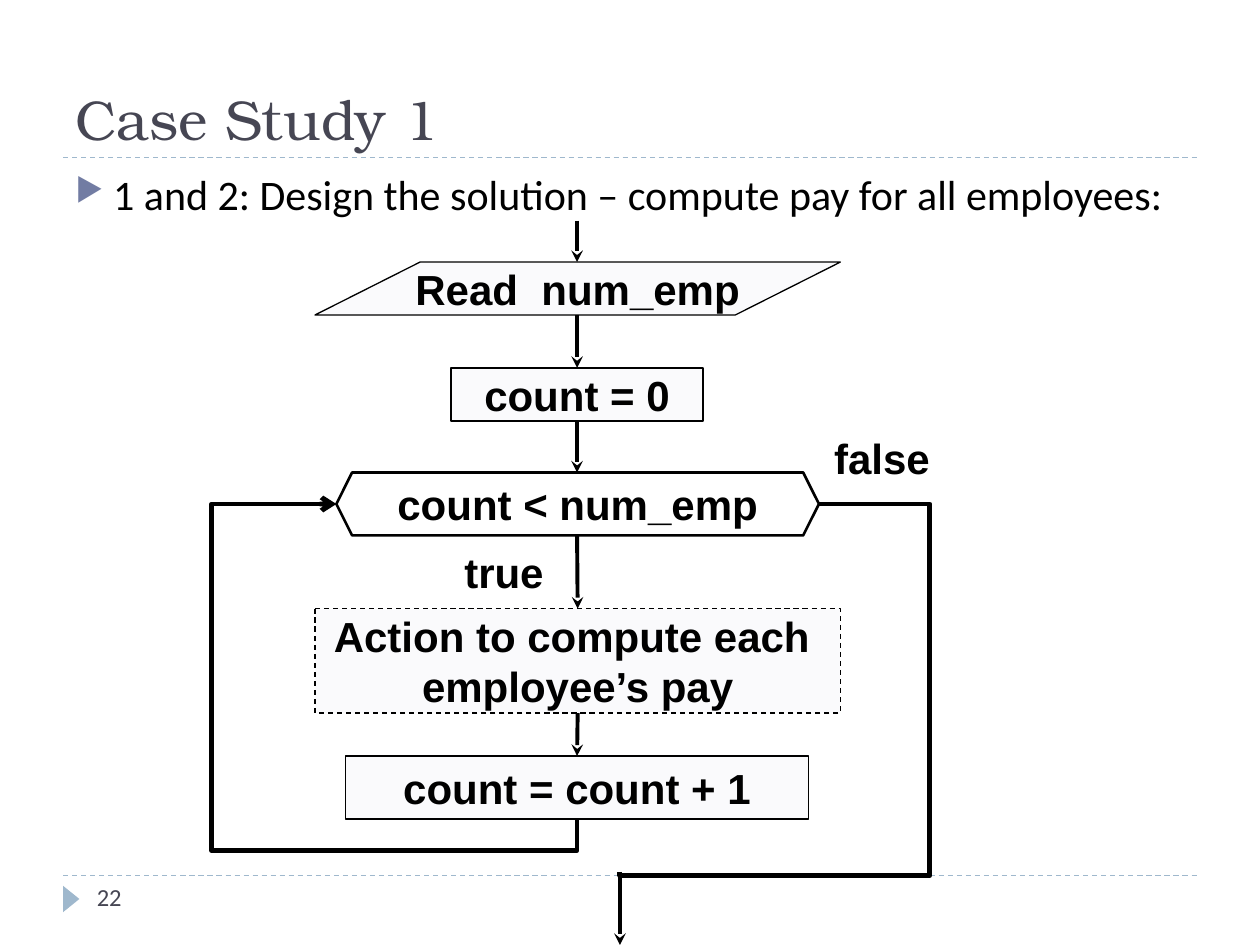
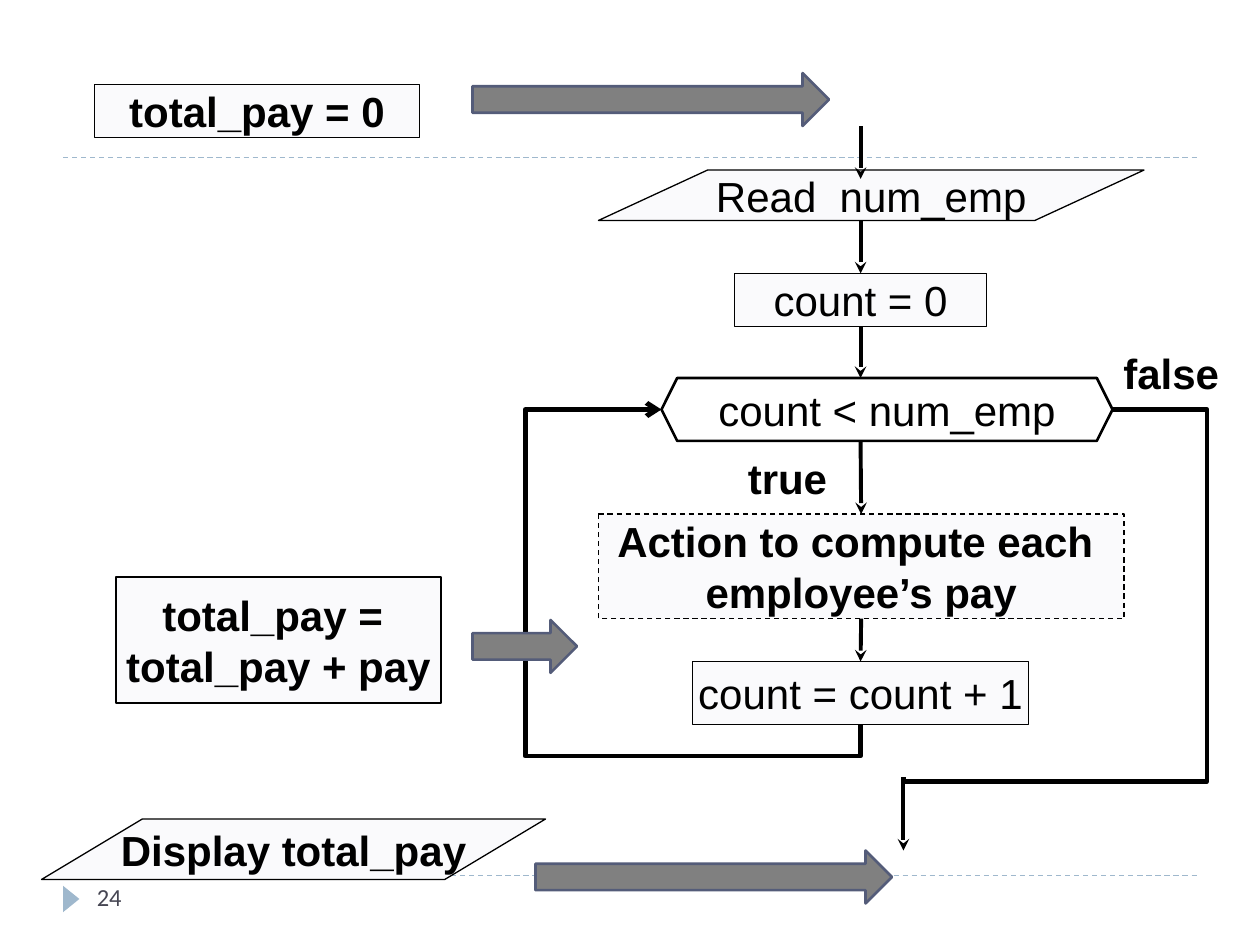
from pptx import Presentation
from pptx import util as u
from pptx.dml.color import RGBColor
from pptx.enum import dml, shapes, text
from pptx.oxml import ns
from lxml import etree

INK, PALE, SLATE, SKY = "000000", "FAFAFC", "464653", "9FB8CD"
colour = RGBColor.from_string
PROCESS = shapes.MSO_SHAPE.FLOWCHART_PROCESS
DATA = shapes.MSO_SHAPE.FLOWCHART_DATA
HEXAGON = shapes.MSO_SHAPE.HEXAGON
ARROW = shapes.MSO_SHAPE.RIGHT_ARROW
TRIANGLE = shapes.MSO_SHAPE.ISOSCELES_TRIANGLE


def add_node(page, kind, words, left, top, width, height, bold=True,
             fill=PALE, line=INK, weight=0.75, dashed=False):
    """Add a preset shape with centred flowchart text."""
    node = page.shapes.add_shape(kind, *map(u.Inches, (left, top, width, height)))
    node.shadow.inherit = False
    if fill:
        node.fill.solid()
        node.fill.fore_color.rgb = colour(fill)
    else:
        node.fill.background()
    if line:
        node.line.color.rgb = colour(line)
        node.line.width = u.Pt(weight)
        if dashed:
            node.line.dash_style = dml.MSO_LINE.DASH
    else:
        node.line.fill.background()
    if words:
        frame = node.text_frame
        frame.word_wrap = False
        frame.vertical_anchor = text.MSO_ANCHOR.MIDDLE
        for index, row in enumerate(words.split("\n")):
            para = frame.paragraphs[0] if index == 0 else frame.add_paragraph()
            para.text = row
            para.alignment = text.PP_ALIGN.CENTER
            para.font.name, para.font.size = "Arial", u.Pt(24)
            para.font.bold = bold
            para.font.color.rgb = colour(INK)
    return node


def add_line(page, start, end, head=None, line=INK, weight=2.25, bends=None, turned=False):
    """Add a connector; bends holds the two adjustments of an elbow."""
    (x1, y1), (x2, y2) = start, end
    if turned:  # the frame of an elbow that leaves downwards lies on its side
        mid_x, mid_y = (x1 + x2) / 2, (y1 + y2) / 2
        half_w, half_h = abs(y2 - y1) / 2, abs(x2 - x1) / 2
        x1, y1, x2, y2 = mid_x + half_w, mid_y - half_h, mid_x - half_w, mid_y + half_h
    kind = shapes.MSO_CONNECTOR.ELBOW if bends else shapes.MSO_CONNECTOR.STRAIGHT
    link = page.shapes.add_connector(kind, *map(u.Inches, (x1, y1, x2, y2)))
    link.line.color.rgb = colour(line)
    link.line.width = u.Pt(weight)
    props = link._element.spPr
    if line != INK:
        link.line.dash_style = dml.MSO_LINE.DASH
    if head:
        etree.SubElement(props.find(ns.qn("a:ln")), ns.qn("a:tailEnd"), type=head)
    if turned:
        props.find(ns.qn("a:xfrm")).set("rot", str(90 * 60000))
    if bends:
        geometry = props.find(ns.qn("a:prstGeom"))
        geometry.set("prst", "bentConnector4")
        guides = geometry.find(ns.qn("a:avLst"))
        for index, bend in enumerate(bends, 1):
            etree.SubElement(guides, ns.qn("a:gd"), name=f"adj{index}",
                             fmla=f"val {round(bend * 100000)}")
    etree.SubElement(props, ns.qn("a:effectLst"))
    return link


deck = Presentation()
deck.slide_width, deck.slide_height = u.Inches(10), u.Inches(7.5)

# Both slides show the same flow, moved and with some other sizes.
# Boxes with a left and a width are given as pairs.
flows = [
    dict(number="22", axis=4.58, rise=0, bold=True, read=(2.5, 2.08, 4.17, 0.42),
         entry_end=2.08, test=(2.67, 3.83), step_width=3.67,
         false=(6, 3.42, 2), loop_x=1.68, exit_x=7.38),
    dict(number="24", axis=6.83, rise=0.75, bold=False, read=(4.75, 1.35, 4.33, 0.4),
         entry_end=1.42, test=(5.25, 3.58), step_width=2.67,
         false=(8.67, 2.75, 1.25), loop_x=4.17, exit_x=9.58),
]
pages = []
for flow in flows:
    page = deck.slides.add_slide(deck.slide_layouts[6])
    pages.append(page)
    axis, rise, bold = flow["axis"], flow["rise"], flow["bold"]

    # Rules, footer marker and page number
    for y in (6.95, 1.25):
        add_line(page, (0.5, y), (9.5, y), line=SKY, weight=0.75)
    marker = add_node(page, TRIANGLE, "", 0.46, 7.07, 0.21, 0.13, fill=SKY, line=None)
    marker.rotation = 90
    box = page.shapes.add_textbox(*map(u.Inches, (0.67, 6.95, 2.17, 0.4)))
    box.text_frame.word_wrap = True
    para = box.text_frame.paragraphs[0]
    para.text = flow["number"]
    para.font.name, para.font.size = "Calibri", u.Pt(14)
    para.font.color.rgb = colour(SLATE)

    # Flow steps
    test_left, test_width = flow["test"]
    test_right, test_mid = test_left + test_width, 4 - rise
    add_node(page, DATA, "Read  num_emp", *flow["read"], bold=bold)
    start = add_node(page, PROCESS, "count = 0", axis - 1, 2.92 - rise, 2, 0.42, bold)
    add_node(page, HEXAGON, "count < num_emp", test_left, 3.75 - rise, test_width, 0.5,
             bold, fill=None, weight=1.5)
    action = add_node(page, PROCESS, "Action to compute each \nemployee’s pay",
                      axis - 2.08, 4.83 - rise, 4.17, 0.83, dashed=True)
    step_width = flow["step_width"]
    step = add_node(page, PROCESS, "count = count + 1", axis - step_width / 2, 6 - rise,
                    step_width, 0.5, bold)

    # Branch labels
    add_node(page, PROCESS, "true", axis - 1.58, 4.33 - rise, 2, 0.42, fill=None, line=None)
    add_node(page, PROCESS, "false", *flow["false"], 0.42, fill=None, line=None)

    # Downward arrows, joined to the boxes they touch
    drop_x = axis + 0.34
    for x, top, bottom, above, below in [
        (axis, 1.75 - rise, flow["entry_end"], None, None),
        (axis, 2.5 - rise, 2.92 - rise, None, start),
        (axis, 3.33 - rise, 3.75 - rise, start, None),
        (axis, 4.25 - rise, 4.83 - rise, None, action),
        (axis, 5.67 - rise, 6 - rise, action, step),
        (drop_x, 6.92 - rise, 7.5 - rise, None, None),
    ]:
        link = add_line(page, (x, top), (x, bottom), "stealth")
        if above:
            link.begin_connect(above, 2)
        if below:
            link.end_connect(below, 0)

    # Loop back to the test, and way out when it is false
    loop_bend = (axis - flow["loop_x"]) / (axis - test_left)
    add_line(page, (axis, 6.5 - rise), (test_left, test_mid), "arrow", weight=2.75,
             bends=(-0.1, loop_bend), turned=True)
    exit_bend = (test_right - flow["exit_x"]) / (test_right - drop_x)
    add_line(page, (test_right, test_mid), (drop_x, 6.92 - rise), weight=2.75,
             bends=(exit_bend, 1.01))

# Slide 1: title and bullet
first, second = pages
for words, place, font, size, ink, anchor in [
    ("Case Study 1", (0.5, 0.17, 9, 1.08), "TeX Gyre Bonum", 32, SLATE, text.MSO_ANCHOR.BOTTOM),
    ("1 and 2: Design the solution – compute pay for all employees:",
     (0.5, 1.33, 9, 0.5), "Calibri", 24, INK, text.MSO_ANCHOR.TOP),
]:
    box = first.shapes.add_textbox(*map(u.Inches, place))
    frame = box.text_frame
    frame.word_wrap = True
    frame.vertical_anchor = anchor
    para = frame.paragraphs[0]
    para.text = words
    if ink == INK:
        para.line_spacing = 0.9
        layout = para._p.get_or_add_pPr()
        layout.set("marL", str(u.Inches(0.3)))
        layout.set("indent", str(-u.Inches(0.3)))
        bullet_colour = etree.SubElement(layout, ns.qn("a:buClr"))
        etree.SubElement(bullet_colour, ns.qn("a:srgbClr"), val="727CA3")
        etree.SubElement(layout, ns.qn("a:buSzPct"), val="76000")
        etree.SubElement(layout, ns.qn("a:buChar"), char="▶")
    para.font.name, para.font.size = font, u.Pt(size)
    para.font.color.rgb = colour(ink)

# Slide 2: added steps and the block arrows that place them
add_node(second, PROCESS, "total_pay = 0", 0.75, 0.67, 2.58, 0.42)
add_node(second, PROCESS, "total_pay = \ntotal_pay + pay", 0.92, 4.58, 2.58, 1)
add_node(second, DATA, "Display total_pay", 0.33, 6.5, 4, 0.48)
for left, top, width in [(3.75, 0.58, 2.83), (4.25, 6.75, 2.83), (3.75, 4.92, 0.83)]:
    add_node(second, ARROW, "", left, top, width, 0.42, fill="808080", line="545C79", weight=1.5)

deck.save("out.pptx")
